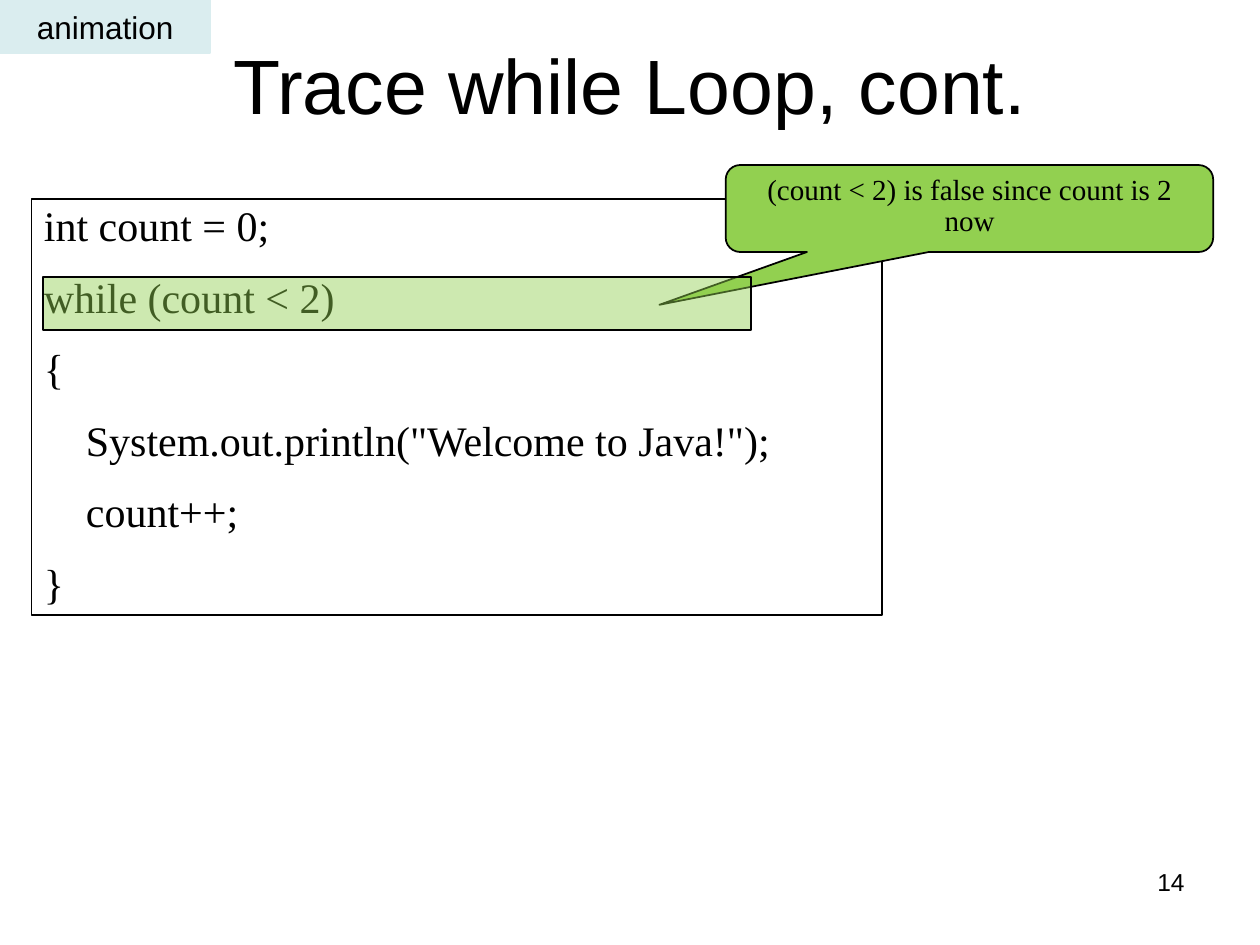
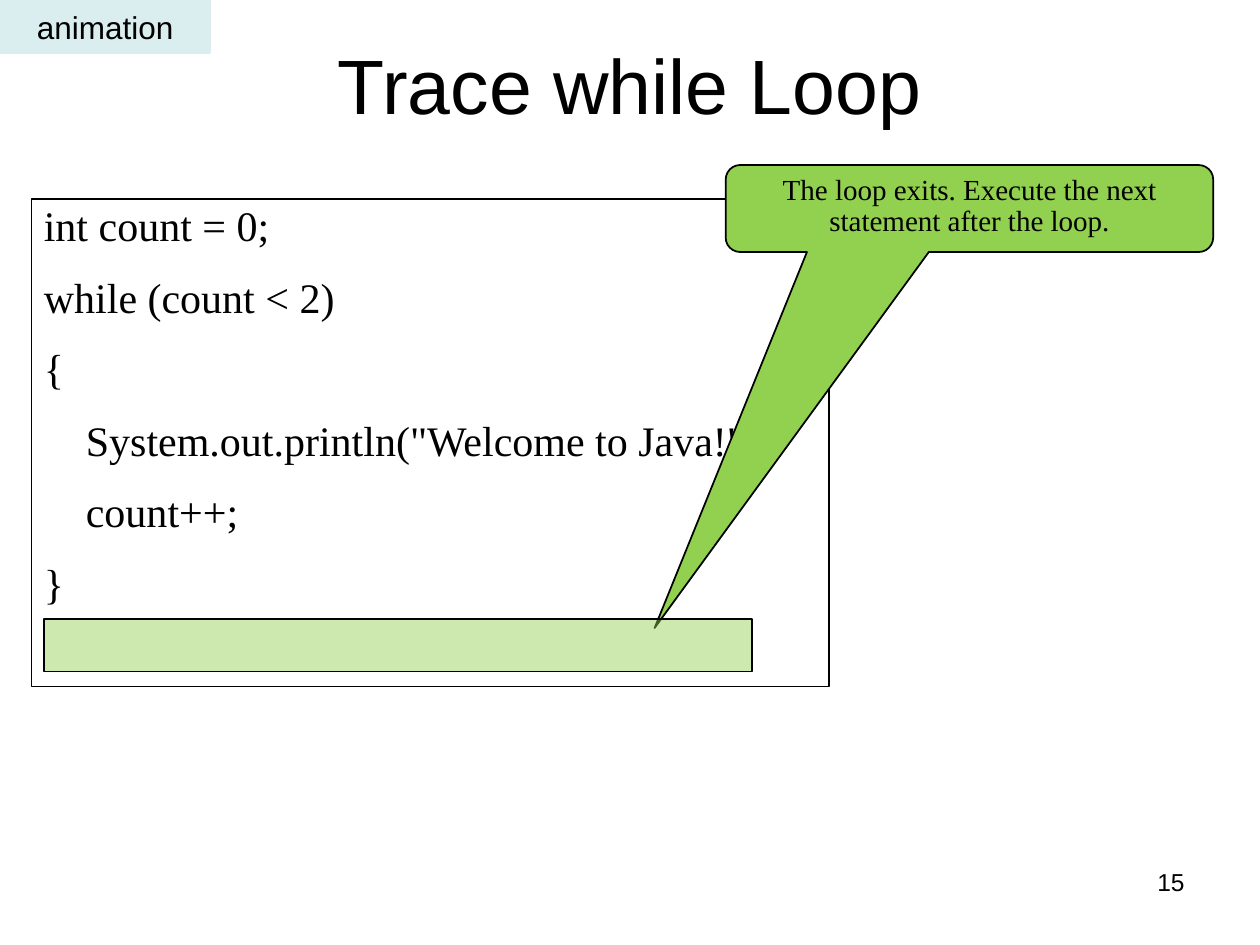
from dataclasses import dataclass

from lxml.etree import SubElement
from pptx import Presentation
from pptx.dml.color import RGBColor
from pptx.enum.shapes import MSO_SHAPE as Shp
from pptx.enum.text import MSO_ANCHOR as Anchor, PP_ALIGN as Align
from pptx.oxml.ns import qn
from pptx.util import Pt

BLACK = RGBColor(0x00, 0x00, 0x00)
GREEN = RGBColor(0x92, 0xD0, 0x50)
PALE_BLUE = RGBColor(0xDA, 0xED, 0xEF)
SANS, SERIF = "Arial", "Times New Roman"
INDENT = 24
CODE = (
    (0, "int count = 0;"),
    (0, "while (count < 2)"),
    (0, "{"),
    (1, 'System.out.println("Welcome to Java!");'),
    (1, "count++;"),
    (0, "}"),
)


@dataclass(frozen=True)
class Box:
    """A rectangle measured in points."""

    left: float
    top: float
    width: float
    height: float

    def lengths(self) -> tuple:
        """Return the four lengths for a shape call."""
        return Pt(self.left), Pt(self.top), Pt(self.width), Pt(self.height)


@dataclass(frozen=True)
class TraceStep:
    """One step of the loop trace."""

    title: str
    number: int
    code_box: Box
    highlight: Box
    callout: str
    tip: tuple[float, float]


TITLE = Box(54, 18, 612, 59.8)
BADGE = Box(0, 0, 120.2, 30.2)
CALLOUT = Box(414.7, 94.3, 278.6, 49.7)
PAGE_NUMBER = Box(516.2, 491.8, 167.8, 37.4)
STEPS = (
    TraceStep("Trace while Loop, cont.", 14, Box(18, 113.8, 486, 237.6),
              Box(24.5, 158.4, 404.6, 30.2),
              "(count < 2) is false since count is 2 now", (-0.636, 1.107)),
    TraceStep("Trace while Loop", 15, Box(18, 113.8, 455.8, 278.6),
              Box(25.2, 353.5, 404.6, 30.2),
              "The loop exits. Execute the next statement after the loop.",
              (-0.646, 4.825)),
)


def write(tf, lines, *, size: float, font: str, align=Align.LEFT,
          anchor=Anchor.TOP, spacing: float = 1, before: float = 0) -> None:
    """Fill a text frame with (indent level, text) lines."""
    tf.word_wrap = True
    tf.vertical_anchor = anchor
    for i, (level, text) in enumerate(lines):
        p = tf.add_paragraph() if i else tf.paragraphs[0]
        p.alignment = align
        p.line_spacing = spacing
        p.space_before = Pt(before)
        if level:
            p._p.get_or_add_pPr().set("marL", str(Pt(level * INDENT)))
        r = p.add_run()
        r.text = text
        r.font.size = Pt(size)
        r.font.name = font
        r.font.color.rgb = BLACK


def add_box(s, box: Box, *, kind=Shp.RECTANGLE, fill=None, alpha: int = 100,
            line: RGBColor = BLACK, weight: float = 1):
    """Draw a preset shape without shadow and return it."""
    sp = s.shapes.add_shape(kind, *box.lengths())
    sp.shadow.inherit = False
    sp.line.color.rgb = line
    sp.line.width = Pt(weight)
    if fill is None:
        sp.fill.background()
    else:
        sp.fill.solid()
        sp.fill.fore_color.rgb = fill
    if alpha < 100:
        color = sp._element.spPr.find(qn("a:solidFill")).find(qn("a:srgbClr"))
        SubElement(color, qn("a:alpha")).set("val", str(alpha * 1000))
    return sp


def add_step(prs, step: TraceStep) -> None:
    """Build the slide of one trace step."""
    s = prs.slides.add_slide(prs.slide_layouts[5])
    title = s.shapes.title
    title.left, title.top, title.width, title.height = TITLE.lengths()
    write(title.text_frame, [(0, step.title)], size=44, font=SANS,
          align=Align.CENTER, anchor=Anchor.MIDDLE)

    code = add_box(s, step.code_box, weight=0.75)
    write(code.text_frame, CODE, size=24, font=SERIF, spacing=0.9, before=15)

    callout = add_box(s, CALLOUT, kind=Shp.ROUNDED_RECTANGULAR_CALLOUT, fill=GREEN)
    for i, value in enumerate((*step.tip, 0.167)):
        callout.adjustments[i] = value
    write(callout.text_frame, [(0, step.callout)], size=16.6, font=SERIF,
          align=Align.CENTER, spacing=0.9)

    add_box(s, step.highlight, fill=GREEN, alpha=45)

    badge = add_box(s, BADGE, fill=PALE_BLUE, line=PALE_BLUE)
    write(badge.text_frame, [(0, "animation")], size=18, font=SANS,
          align=Align.CENTER, anchor=Anchor.MIDDLE)

    number = s.shapes.add_textbox(*PAGE_NUMBER.lengths())
    write(number.text_frame, [(0, str(step.number))], size=14, font=SANS,
          align=Align.RIGHT)


def main() -> None:
    """Build and save the presentation."""
    prs = Presentation()
    prs.slide_width, prs.slide_height = Pt(720), Pt(540)
    for step in STEPS:
        add_step(prs, step)
    prs.save("out.pptx")


if __name__ == "__main__":
    main()
